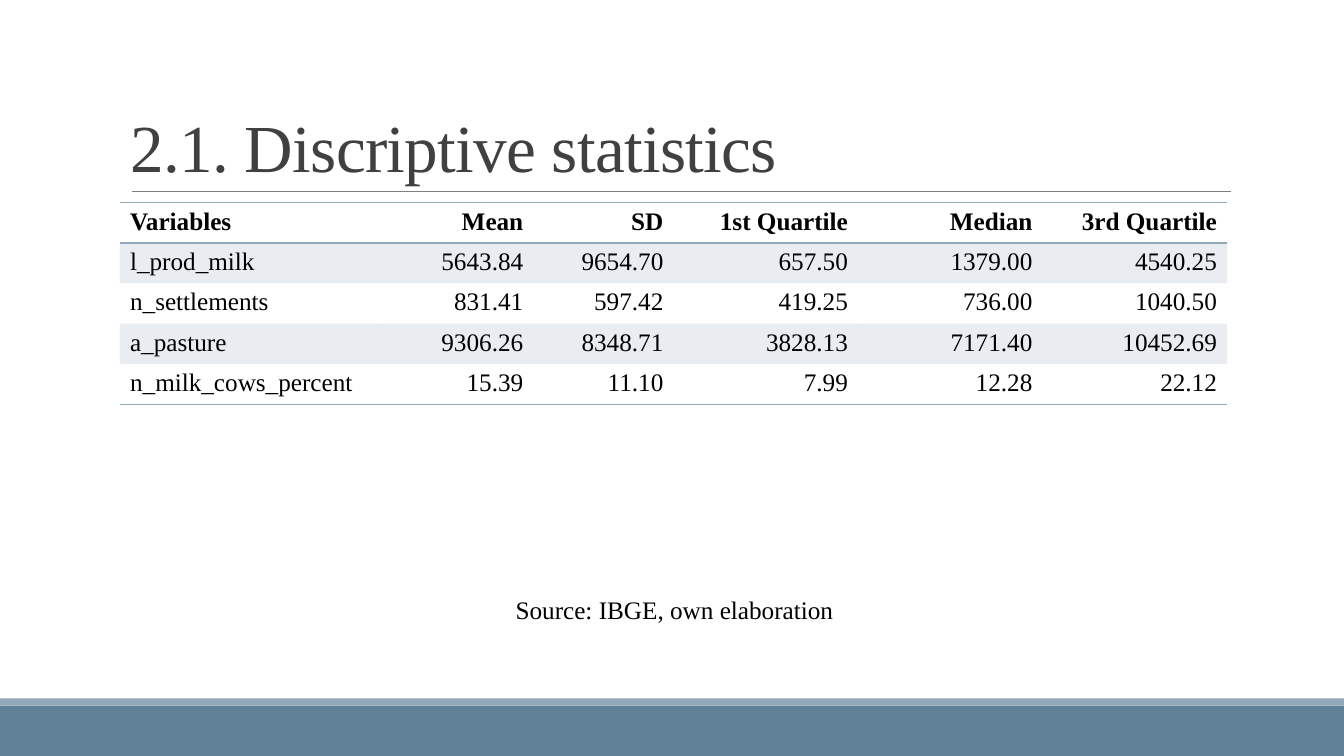
"""Build a slide with a table of descriptive statistics."""
from lxml import etree
from pptx import Presentation
from pptx.dml.color import RGBColor
from pptx.enum.shapes import MSO_CONNECTOR as CONNECTOR, MSO_SHAPE as SHAPE
from pptx.enum.text import MSO_ANCHOR as ANCHOR, PP_ALIGN as ALIGN
from pptx.oxml.ns import qn
from pptx.util import Inches, Pt

ACCENT = "92A9B9"
PLAIN_STYLE = "{2D5ABB26-0587-4C30-8999-92F81FD0307C}"
ROWS = [
    ["Variables", "Mean", "SD", "1st Quartile", "Median", "3rd Quartile"],
    ["l_prod_milk", "5643.84", "9654.70", "657.50", "1379.00", "4540.25"],
    ["n_settlements", "831.41", "597.42", "419.25", "736.00", "1040.50"],
    ["a_pasture", "9306.26", "8348.71", "3828.13", "7171.40", "10452.69"],
    ["n_milk_cows_percent", "15.39", "11.10", "7.99", "12.28", "22.12"],
]
WIDTHS = [2.6, 1.5, 1.39, 1.83, 1.83, 1.83]
EDGES = {0: ["a:lnT", "a:lnB"], len(ROWS) - 1: ["a:lnB"]}


def color(value):
    return RGBColor.from_string(value)


def write(frame, text, align=ALIGN.LEFT, tint="000000", **format_values):
    para = frame.paragraphs[0]
    para.alignment = align
    span = para.add_run()
    span.text = text
    span.font.color.rgb = color(tint)
    for name, value in {"name": "Times New Roman", "size": Pt(18), **format_values}.items():
        setattr(span.font, name, value)
    return para, span


deck = Presentation()
deck.slide_width, deck.slide_height = Inches(13.33), Inches(7.5)
page = deck.slides.add_slide(deck.slide_layouts[6])

for top, height, fill in [(7, 0.5, "618197"), (6.93, 0.07, ACCENT)]:
    band = page.shapes.add_shape(SHAPE.RECTANGLE, 0, Inches(top), deck.slide_width, Inches(height))
    band.shadow.inherit = False
    band.fill.solid()
    band.fill.fore_color.rgb = color(fill)
    band.line.fill.background()

rule = page.shapes.add_connector(CONNECTOR.STRAIGHT, Inches(1.31), Inches(1.9), Inches(12.21), Inches(1.9))
rule.line.color.rgb = color("808080")
rule.line.width = Pt(0.5)
etree.SubElement(rule._element.spPr, qn("a:effectLst"))

title = page.shapes.add_textbox(Inches(1.2), Inches(0.31), Inches(11), Inches(1.59)).text_frame
title.word_wrap = True
title.vertical_anchor = ANCHOR.BOTTOM
para, span = write(title, "2.1. Discriptive statistics", tint="404040", size=Pt(48))
para.line_spacing = 0.85
span.font._element.set("spc", "-50")

table = page.shapes.add_table(
    len(ROWS), len(WIDTHS), Inches(1.19), Inches(2.01), Inches(sum(WIDTHS)), Inches(1.88)
).table
table._tbl.tblPr.find(qn("a:tableStyleId")).text = PLAIN_STYLE
table.horz_banding = False
for column, width in zip(table.columns, WIDTHS):
    column.width = Inches(width)

for row_index, values in enumerate(ROWS):
    for column_index, value in enumerate(values):
        cell = table.cell(row_index, column_index)
        align = ALIGN.RIGHT if column_index else ALIGN.LEFT
        write(cell.text_frame, value, align, bold=row_index == 0)
        properties = cell._tc.get_or_add_tcPr()
        for edge in EDGES.get(row_index, []):
            line = etree.SubElement(properties, qn(edge), w=str(Pt(1)))
            paint = etree.SubElement(line, qn("a:solidFill"))
            etree.SubElement(paint, qn("a:srgbClr"), val=ACCENT)
        if row_index % 2:
            cell.fill.solid()
            cell.fill.fore_color.rgb = color(ACCENT)
            tone = properties.find(".//" + qn("a:srgbClr"))
            etree.SubElement(tone, qn("a:alpha"), val="20000")
        else:
            cell.fill.background()

source = page.shapes.add_textbox(Inches(1.19), Inches(5.85), Inches(11), Inches(0.56)).text_frame
source.word_wrap = True
write(source, "Source: IBGE, own elaboration", ALIGN.CENTER)

deck.save("out.pptx")
